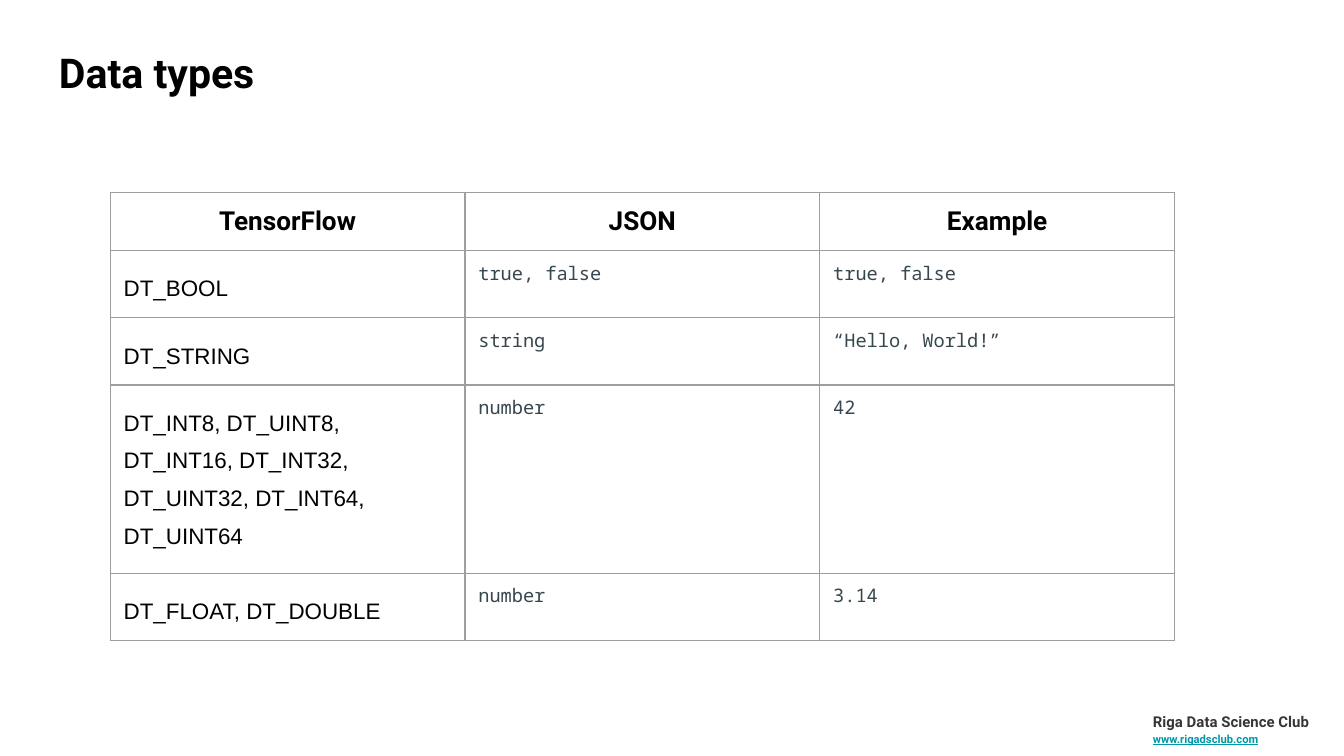
from copy import deepcopy

from lxml.etree import SubElement
from pptx import Presentation
from pptx.dml.color import RGBColor
from pptx.enum.text import MSO_ANCHOR, PP_ALIGN
from pptx.oxml.ns import qn
from pptx.util import Inches, Pt

WIDE = 10
HIGH = WIDE * 9 / 16
INSET = 0.1
COLORS = {"black": "000000", "slate": "37474F", "gray": "363636",
          "teal": "0097A7", "rule": "9E9E9E"}

TITLE = "Data types"
CLUB = "Riga Data Science Club"
SITE = "www.rigadsclub.com"
ROWS = [
    ("TensorFlow", "JSON", "Example"),
    ("DT_BOOL", "true, false", "true, false"),
    ("DT_STRING", "string", "“Hello, World!”"),
    ("DT_INT8, DT_UINT8, DT_INT16, DT_INT32, DT_UINT32, DT_INT64, DT_UINT64",
     "number", "42"),
    ("DT_FLOAT, DT_DOUBLE", "number", "3.14"),
]
LEFT, TOP, COL = 0.82, 1.43, 2.64
HEAD, BODY = 0.42, 0.47
SPAN = 3.28  # nominal frame side; columns and rows set the drawn size

# Each style: font values, colour name, paragraph values
STYLES = {
    "title": ({"name": "Roboto", "size": Pt(22), "bold": True}, "black", {}),
    "head": ({"name": "Roboto", "size": Pt(14), "bold": True}, "black",
             {"alignment": PP_ALIGN.CENTER}),
    "type": ({"name": "Arial", "size": Pt(12), "bold": False}, "black",
             {"line_spacing": 1.5}),
    "code": ({"name": "Noto Sans Mono", "size": Pt(10), "bold": False}, "slate",
             {"line_spacing": 0.8}),
    "club": ({"name": "Roboto", "size": Pt(8), "bold": True}, "gray",
             {"line_spacing": 1.1}),
    "site": ({"name": "Roboto", "size": Pt(6), "bold": True, "underline": True},
             "teal", {"line_spacing": 1.1}),
}


def apply(item, values):
    for key, value in values.items():
        setattr(item, key, value)


def write(para, text, style):
    """Add one run, with the same font in all scripts and at the line's end."""
    font, color, form = STYLES[style]
    apply(para, form)
    run = para.add_run()
    run.text = text
    apply(run.font, font)
    run.font.color.rgb = RGBColor.from_string(COLORS[color])
    props = run._r.get_or_add_rPr()
    for script in ("ea", "cs"):
        SubElement(props, qn(f"a:{script}"), typeface=font["name"])
    end = SubElement(para._p, qn("a:endParaRPr"), dict(props.attrib))
    end.extend(list(deepcopy(props)))


def pad(item):
    for side in ("left", "right", "top", "bottom"):
        setattr(item, f"margin_{side}", Inches(INSET))


def add_text(slide, place, lines):
    frame = slide.shapes.add_textbox(*map(Inches, place)).text_frame
    apply(frame, {"word_wrap": True, "vertical_anchor": MSO_ANCHOR.MIDDLE})
    pad(frame)
    for i, (text, style) in enumerate(lines):
        para = frame.add_paragraph() if i else frame.paragraphs[0]
        write(para, text, style)


def rule(cell):
    """Draw a thin line on all four sides of a cell."""
    props = cell._tc.get_or_add_tcPr()
    for side in ("lnL", "lnR", "lnT", "lnB"):
        line = SubElement(props, qn(f"a:{side}"), w=str(Pt(0.75)))
        fill = SubElement(line, qn("a:solidFill"))
        SubElement(fill, qn("a:srgbClr"), val=COLORS["rule"])


def add_grid(slide):
    cols = len(ROWS[0])
    place = map(Inches, (LEFT, TOP, SPAN, SPAN))
    frame = slide.shapes.add_table(len(ROWS), cols, *place)
    table = frame.table
    apply(table, {"first_row": False, "horz_banding": False})
    for col in table.columns:
        col.width = Inches(COL)
    for r, row in enumerate(ROWS):
        table.rows[r].height = Inches(BODY if r else HEAD)
        for c, text in enumerate(row):
            cell = table.cell(r, c)
            pad(cell)
            rule(cell)
            cell.fill.background()
            style = "head" if r == 0 else "type" if c == 0 else "code"
            write(cell.text_frame.paragraphs[0], text, style)
    apply(frame, {"width": Inches(SPAN), "height": Inches(SPAN)})


def main():
    deck = Presentation()
    deck.slide_width, deck.slide_height = Inches(WIDE), Inches(HIGH)
    slide = deck.slides.add_slide(deck.slide_layouts[6])
    add_text(slide, (8.48, 5.28, 1.52, 0.28), [(CLUB, "club"), (SITE, "site")])
    add_text(slide, (0.34, 0.22, 9.32, 0.63), [(TITLE, "title")])
    add_grid(slide)
    deck.save("out.pptx")


if __name__ == "__main__":
    main()
